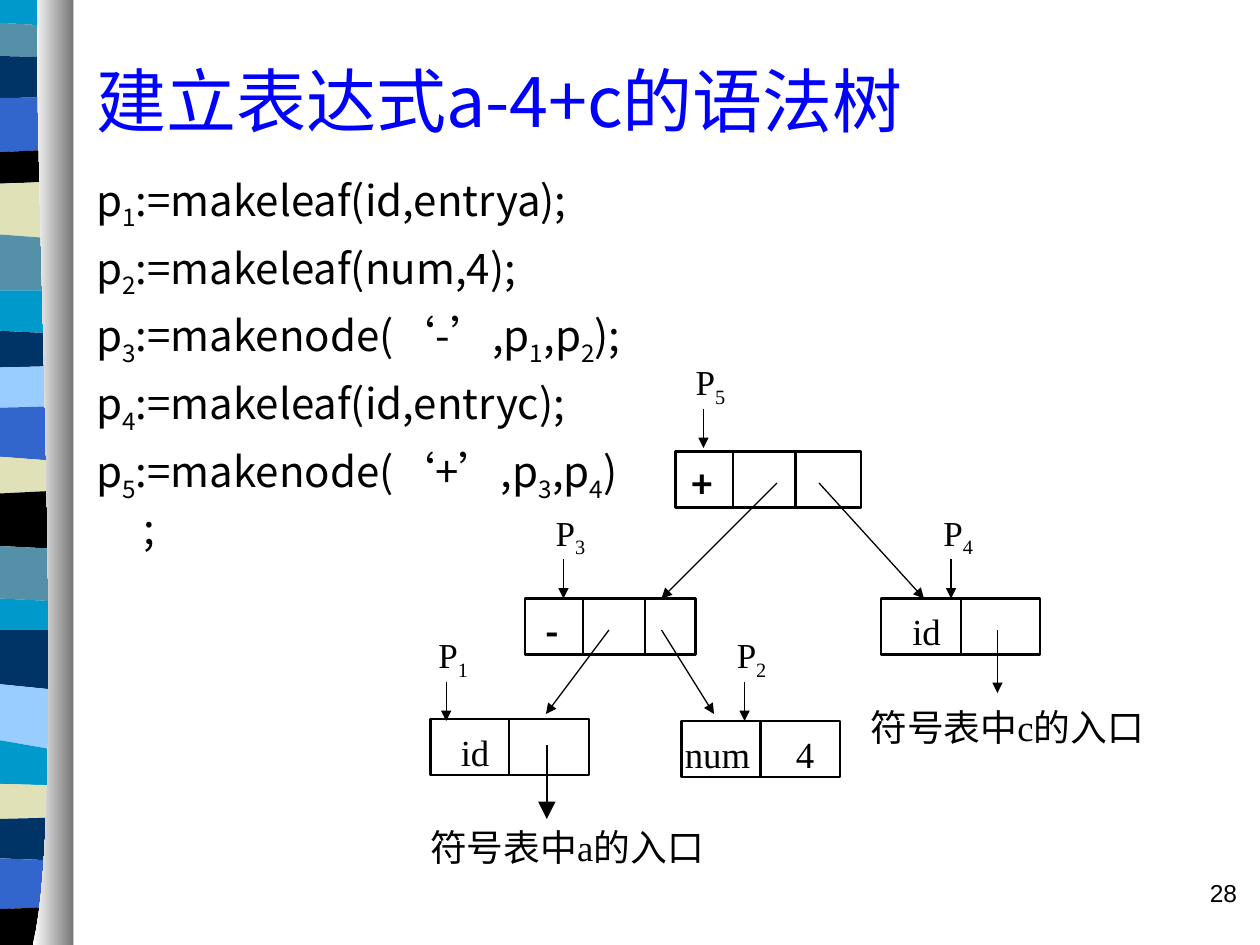
from itertools import accumulate

from lxml import etree
from pptx import Presentation
from pptx.dml.color import RGBColor
from pptx.enum.shapes import MSO_CONNECTOR, MSO_SHAPE
from pptx.enum.text import MSO_ANCHOR, PP_ALIGN
from pptx.oxml.ns import qn
from pptx.util import Pt

LEFT, CENTER, RIGHT = PP_ALIGN.LEFT, PP_ALIGN.CENTER, PP_ALIGN.RIGHT
TOP, MIDDLE = MSO_ANCHOR.TOP, MSO_ANCHOR.MIDDLE
RECTANGLE = MSO_SHAPE.RECTANGLE
STRAIGHT = MSO_CONNECTOR.STRAIGHT

BLACK = RGBColor(0x00, 0x00, 0x00)
WHITE = RGBColor(0xFF, 0xFF, 0xFF)
GREY = RGBColor(0x76, 0x76, 0x76)
TITLE_BLUE = RGBColor(0x00, 0x00, 0xFF)
CYAN = RGBColor(0x00, 0x99, 0xCC)
TEAL = RGBColor(0x54, 0x90, 0xA8)
NAVY = RGBColor(0x00, 0x33, 0x66)
BLUE = RGBColor(0x33, 0x66, 0xCC)
SKY = RGBColor(0x99, 0xCC, 0xFF)
SAND = RGBColor(0xE1, 0xE1, 0xB7)

SANS, SERIF, ARIAL = "Noto Sans CJK SC", "Times New Roman", "Arial"
THIN, THICK = 0.75, 1.39
NODE_HEIGHT = 32
SLIDE_WIDTH, SLIDE_HEIGHT = 720, 540
BAND_WIDTH = 40

BANDS = [
    (CYAN, 0, 0), (TEAL, 13, 15.5), (NAVY, 32, 33), (BLUE, 56, 55.5),
    (BLACK, 87, 85), (SAND, 105, 103.5), (TEAL, 134, 137), (CYAN, 166, 166),
    (NAVY, 189, 191), (SKY, 210, 209), (BLUE, 233, 232), (SAND, 261, 264),
    (BLACK, 282, 280), (TEAL, 312, 314), (CYAN, 342, 344), (NAVY, 360, 360),
    (SKY, 391, 395), (CYAN, 423, 430), (SAND, 448, 449), (NAVY, 468, 467),
    (BLUE, 490.5, 492), (BLACK, 519.5, 518),
]

CODE = [
    ["p", "1", ":=makeleaf(id,entrya);"],
    ["p", "2", ":=makeleaf(num,4);"],
    ["p", "3", ":=makenode(‘-’,p", "1", ",p", "2", ");"],
    ["p", "4", ":=makeleaf(id,entryc);"],
    ["p", "5", ":=makenode(‘+’,p", "3", ",p", "4", ");"],
]

NODES = [
    (386, 258, [33, 35.5, 37.5], [("+", 401.5)]),
    (300, 342, [33, 35.5, 29], [("-", 315.5)]),
    (503.5, 342, [45.5, 45.5], [("id", 529.5)]),
    (246, 411, [45, 45.5], [("id", 271.5)]),
    (389.5, 412, [45, 45.5], [("num", 410), ("4", 460)]),
]

POINTERS = [("1", 255, 412), ("2", 425.5, 412), ("3", 322, 342),
            ("4", 543.5, 342), ("5", 402, 256)]

EDGES = [
    (444, 276, 378, 342), (468, 276, 528, 342), (348, 360, 312, 408),
    (378, 360, 408, 408), (570, 360, 570, 396),
]

CAPTIONS = [("符号表中a的入口", 324, 471.5), ("符号表中c的入口", 575.5, 402.5)]


def write_text(box, lines, size=21, font=SERIF, color=BLACK, bold=False,
               align=LEFT, space=0, hanging=0):
    frame = box.text_frame
    for number, pieces in enumerate(lines):
        para = frame.add_paragraph() if number else frame.paragraphs[0]
        para.alignment = align
        if number:
            para.space_before = Pt(space)
        if hanging:
            properties = para._p.get_or_add_pPr()
            properties.set("marL", str(Pt(hanging)))
            properties.set("indent", str(-Pt(hanging)))
        for index, piece in enumerate(pieces):
            span = para.add_run()
            span.text = piece
            span.font.size = Pt(size)
            span.font.name = font
            span.font.bold = bold
            span.font.color.rgb = color
            run_format = span.font._element
            east = etree.SubElement(run_format, qn("a:ea"))
            east.set("typeface", SANS)
            if index % 2:
                run_format.set("baseline", "-25000")


class SlideBuilder:
    def __init__(self, page):
        self.page = page

    def text(self, left, top, width, height, lines, inset=True, anchor=TOP,
             **style):
        box = self.page.shapes.add_textbox(
            Pt(left), Pt(top), Pt(width), Pt(height))
        frame = box.text_frame
        frame.word_wrap = True
        frame.vertical_anchor = anchor
        frame.margin_left = frame.margin_right = Pt(7.2 if inset else 0)
        frame.margin_top = frame.margin_bottom = Pt(3.6 if inset else 0)
        write_text(box, lines, **style)

    def label(self, center, top, width, height, pieces, **style):
        self.text(center - width / 2, top, width, height, [pieces],
                  inset=False, align=CENTER, **style)

    def outline(self, points):
        corners = [(Pt(x), Pt(y)) for x, y in points]
        builder = self.page.shapes.build_freeform(*corners[0], scale=1.0)
        builder.add_line_segments(corners[1:], close=True)
        shape = builder.convert_to_shape()
        shape.shadow.inherit = False
        shape.line.fill.background()
        return shape

    def band(self, color, points):
        shape = self.outline(points)
        shape.fill.solid()
        shape.fill.fore_color.rgb = color

    def shaded_edge(self, points):
        shape = self.outline(points)
        shape.fill.gradient()
        shape.fill.gradient_angle = 0
        for stop, color, position in zip(
                shape.fill.gradient_stops, (WHITE, GREY), (0, 1)):
            stop.color.rgb = color
            stop.position = position

    def line(self, x1, y1, x2, y2, width=THIN, head_size=None):
        connector = self.page.shapes.add_connector(
            STRAIGHT, Pt(x1), Pt(y1), Pt(x2), Pt(y2))
        connector.line.width = Pt(width)
        connector.line.color.rgb = BLACK
        if head_size:
            etree.SubElement(connector.line._get_or_add_ln(), qn("a:tailEnd"),
                             type="triangle", w=head_size, len=head_size)
        etree.SubElement(connector._element.spPr, qn("a:effectLst"))

    def node(self, left, top, cells, labels):
        shape = self.page.shapes.add_shape(
            RECTANGLE, Pt(left), Pt(top), Pt(sum(cells)), Pt(NODE_HEIGHT))
        shape.shadow.inherit = False
        shape.fill.background()
        shape.line.color.rgb = BLACK
        shape.line.width = Pt(THICK)
        for offset in accumulate(cells[:-1]):
            x = left + offset
            self.line(x, top, x, top + NODE_HEIGHT, width=THICK)
        for label, center in labels:
            operator = label in "+-"
            self.label(center, top + 6, 44, 25, [label], bold=operator,
                       font=SANS if operator else SERIF)

    def pointer(self, number, x, tip):
        self.label(x + 4, tip - 53.5, 36, 34.5, ["P", number], size=20,
                   anchor=MIDDLE)
        self.line(x, tip - 22.5, x, tip, head_size="med")


def edge_curve(steps=30):
    start, first, second, end = (21.6, 0), (18.7, 90), (38.9, 466), (18.7, 540)
    for step in range(steps + 1):
        t = step / steps
        u = 1 - t
        yield tuple(
            u**3 * a + 3 * u * u * t * b + 3 * u * t * t * c + t**3 * d
            for a, b, c, d in zip(start, first, second, end))


def main():
    deck = Presentation()
    deck.slide_width, deck.slide_height = Pt(SLIDE_WIDTH), Pt(SLIDE_HEIGHT)
    builder = SlideBuilder(deck.slides.add_slide(deck.slide_layouts[6]))

    bottoms = [band[1:] for band in BANDS[1:]] + [(SLIDE_HEIGHT, SLIDE_HEIGHT)]
    for (color, left, right), (low_left, low_right) in zip(BANDS, bottoms):
        builder.band(color, [(0, left), (BAND_WIDTH, right),
                             (BAND_WIDTH, low_right), (0, low_left)])
    builder.shaded_edge([*edge_curve(), (42, SLIDE_HEIGHT), (42, 0)])

    builder.text(48, 12, 657, 90, [["建立表达式a-4+c的语法树"]], size=40,
                 font=SANS, color=TITLE_BLUE, anchor=MIDDLE)
    builder.text(48, 96, 318, 210, CODE, size=24, font=SANS, space=6,
                 hanging=27)
    for node in NODES:
        builder.node(*node)
    for pointer in POINTERS:
        builder.pointer(*pointer)
    for edge in EDGES:
        builder.line(*edge, head_size="med")
    builder.line(312.5, 426, 312.5, 468, width=THICK, head_size="lg")
    for caption, center, top in CAPTIONS:
        builder.label(center, top, 190, 25, [caption])
    builder.text(564, 498, 150, 36, [["28"]], size=14, font=ARIAL, align=RIGHT)
    deck.save("out.pptx")


if __name__ == "__main__":
    main()
